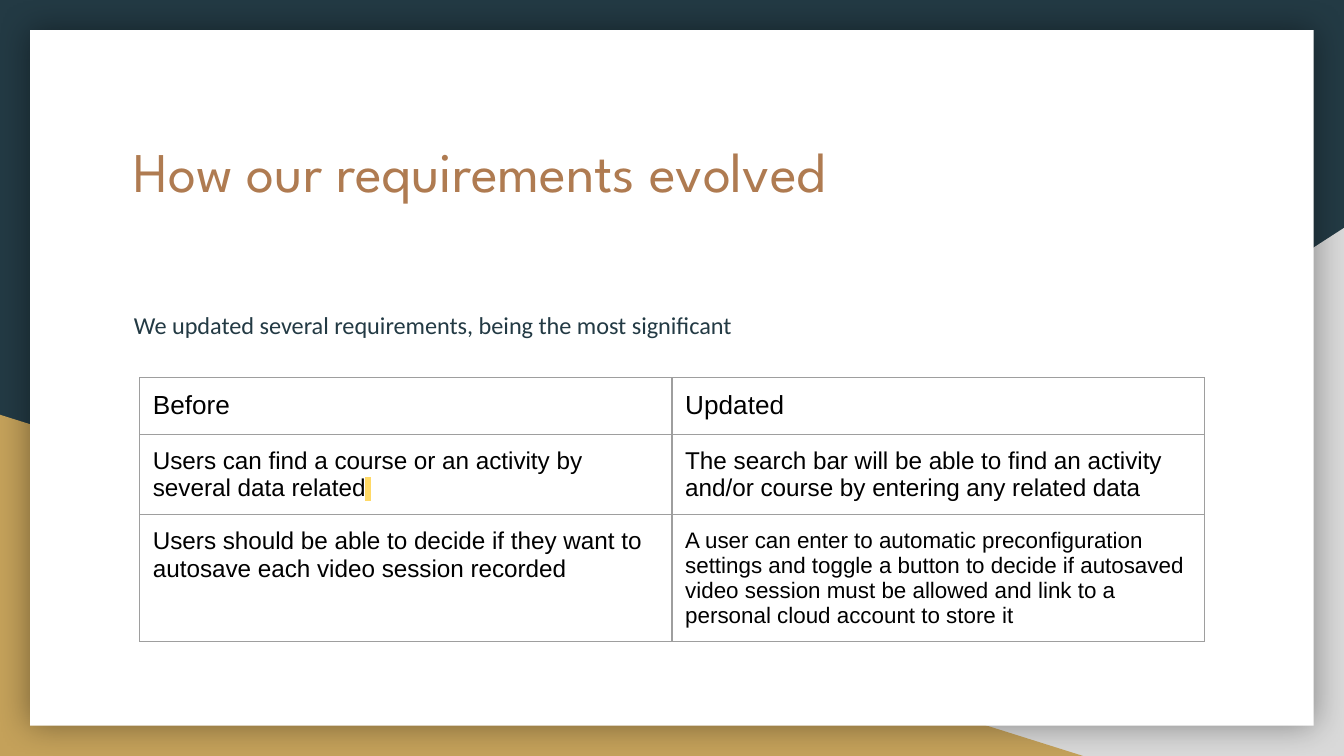
import pptx
import pptx.util
import pptx.dml.color
import pptx.enum.shapes
import pptx.enum.text
import pptx.oxml
import pptx.oxml.ns
from pptx.util import Cm

COLORS = {
    "navy": "233A44",
    "gold": "C4A15A",
    "gray": "D9D9D9",
    "white": "FFFFFF",
    "copper": "AF7B51",
    "black": "000000",
    "border": "9E9E9E",
    "highlight": "FFD966",
}
INSET = 0.25
NS = pptx.oxml.ns.nsdecls("a")


def rgb(name):
    return pptx.dml.color.RGBColor.from_string(COLORS[name])


def xml(text):
    return pptx.oxml.parse_xml(text)


def set_font(r, font, size, color):
    r.font.name = font
    r.font.size = pptx.util.Pt(size)
    r.font.color.rgb = rgb(color)


def add_filled(s, kind, box, color):
    sp = s.shapes.add_shape(kind, *[Cm(v) for v in box])
    sp.shadow.inherit = False
    sp.fill.solid()
    sp.fill.fore_color.rgb = rgb(color)
    sp.line.fill.background()
    return sp


def add_backdrop(s, box):
    """Navy background, two corner triangles and a white card with a glow shadow."""
    x, y, w, h = box
    shapes = pptx.enum.shapes.MSO_SHAPE
    s.background.fill.solid()
    s.background.fill.fore_color.rgb = rgb("navy")

    # Corner triangles, both standing on the bottom edge
    right_w, right_h = 15.44, 9.98
    sp = add_filled(s, shapes.RIGHT_TRIANGLE,
                    (x + w - right_w, y + h - right_h, right_w, right_h), "gray")
    sp._element.spPr.xfrm.set("flipH", "1")
    left_w, left_h = 20.47, 6.45
    add_filled(s, shapes.RIGHT_TRIANGLE, (x, y + h - left_h, left_w, left_h), "gold")

    # Card
    m = 0.57
    card = add_filled(s, shapes.RECTANGLE, (x + m, y + m, w - 2 * m, h - 2 * m), "white")
    effects = card._element.spPr.find(pptx.oxml.ns.qn("a:effectLst"))
    effects.append(xml(
        f'<a:outerShdw {NS} blurRad="{pptx.util.Pt(18)}" dist="0" dir="0" '
        f'algn="ctr" rotWithShape="0"><a:srgbClr val="{COLORS["black"]}">'
        '<a:alpha val="40000"/></a:srgbClr></a:outerShdw>'))


def fill_placeholder(sp, box, text, font, size, color):
    """Move a placeholder to the box and set its one left-aligned line."""
    sp.left, sp.top, sp.width, sp.height = [Cm(v) for v in box]
    tf = sp.text_frame
    tf.text = text
    tf.word_wrap = True
    tf.auto_size = pptx.enum.text.MSO_AUTO_SIZE.NONE
    tf.vertical_anchor = pptx.enum.text.MSO_ANCHOR.TOP
    tf.margin_left = tf.margin_right = tf.margin_top = tf.margin_bottom = Cm(INSET)
    p = tf.paragraphs[0]
    p.alignment = pptx.enum.text.PP_ALIGN.LEFT
    p.space_before = pptx.util.Pt(0)
    set_font(p.runs[0], font, size, color)
    return p


def add_heading(s, box):
    """Title at the top of the box, the lead-in sentence below it."""
    x, y, w, h = box
    fill_placeholder(s.shapes.title, (x, y, w, 2.64),
                     "How our requirements evolved", "League Spartan", 30, "copper")
    body_top = 3.2
    p = fill_placeholder(s.placeholders[1], (x, y + body_top, w, h - body_top),
                         "We updated several requirements, being the most significant",
                         "Calibri", 13, "navy")
    p.line_spacing = 1.15
    p.space_after = pptx.util.Pt(12)
    pPr = p._p.get_or_add_pPr()
    pPr.set("marL", "0")
    pPr.set("indent", "0")
    pPr.append(xml(f"<a:buNone {NS}/>"))


def style_cell(cell, text, size):
    cell.text = text
    cell.margin_left = cell.margin_right = Cm(INSET)
    cell.margin_top = cell.margin_bottom = Cm(INSET)
    set_font(cell.text_frame.paragraphs[0].runs[0], "Arial", size, "black")
    cell.fill.background()
    tcPr = cell._tc.get_or_add_tcPr()
    for i, side in enumerate("LRTB"):
        tcPr.insert(i, xml(
            f'<a:ln{side} {NS} w="{pptx.util.Pt(0.75)}"><a:solidFill>'
            f'<a:srgbClr val="{COLORS["border"]}"/></a:solidFill></a:ln{side}>'))


def add_requirements(s, box):
    """Two-column table; rows grow with their text."""
    rows = [
        [("Before", 14), ("Updated", 14)],
        [("Users can find a course or an activity by several data related", 13),
         ("The search bar will be able to find an activity and/or course by "
          "entering any related data", 13)],
        [("Users should be able to decide if they want to autosave each video "
          "session recorded", 13),
         ("A user can enter to automatic preconfiguration settings and toggle a "
          "button to decide if autosaved video session must be allowed and link "
          "to a personal cloud account to store it", 12)],
    ]
    table = s.shapes.add_table(len(rows), 2, *[Cm(v) for v in box]).table
    table.first_row = table.horz_banding = False
    for i, row in enumerate(rows):
        for j, (text, size) in enumerate(row):
            style_cell(table.cell(i, j), text, size)

    # Highlighted space after the first requirement
    r = table.cell(1, 0).text_frame.paragraphs[0].add_run()
    r.text = " "
    set_font(r, "Arial", 11.5, "black")
    r.font._element.find(pptx.oxml.ns.qn("a:latin")).addprevious(xml(
        f'<a:highlight {NS}><a:srgbClr val="{COLORS["highlight"]}"/></a:highlight>'))


def main():
    prs = pptx.Presentation()
    w, h = 25.4, 14.29
    prs.slide_width, prs.slide_height = Cm(w), Cm(h)
    s = prs.slides.add_slide(prs.slide_layouts[1])
    add_backdrop(s, (0, 0, w, h))
    # Placeholders come first in the tree: lift them above the backdrop
    for sp in list(s.placeholders):
        s.shapes._spTree.append(sp._element)
    add_heading(s, (2.28, 2.34, 20.85, 10))
    add_requirements(s, (2.64, 7.14, 20.12, 3.2))
    prs.save("out.pptx")


if __name__ == "__main__":
    main()
